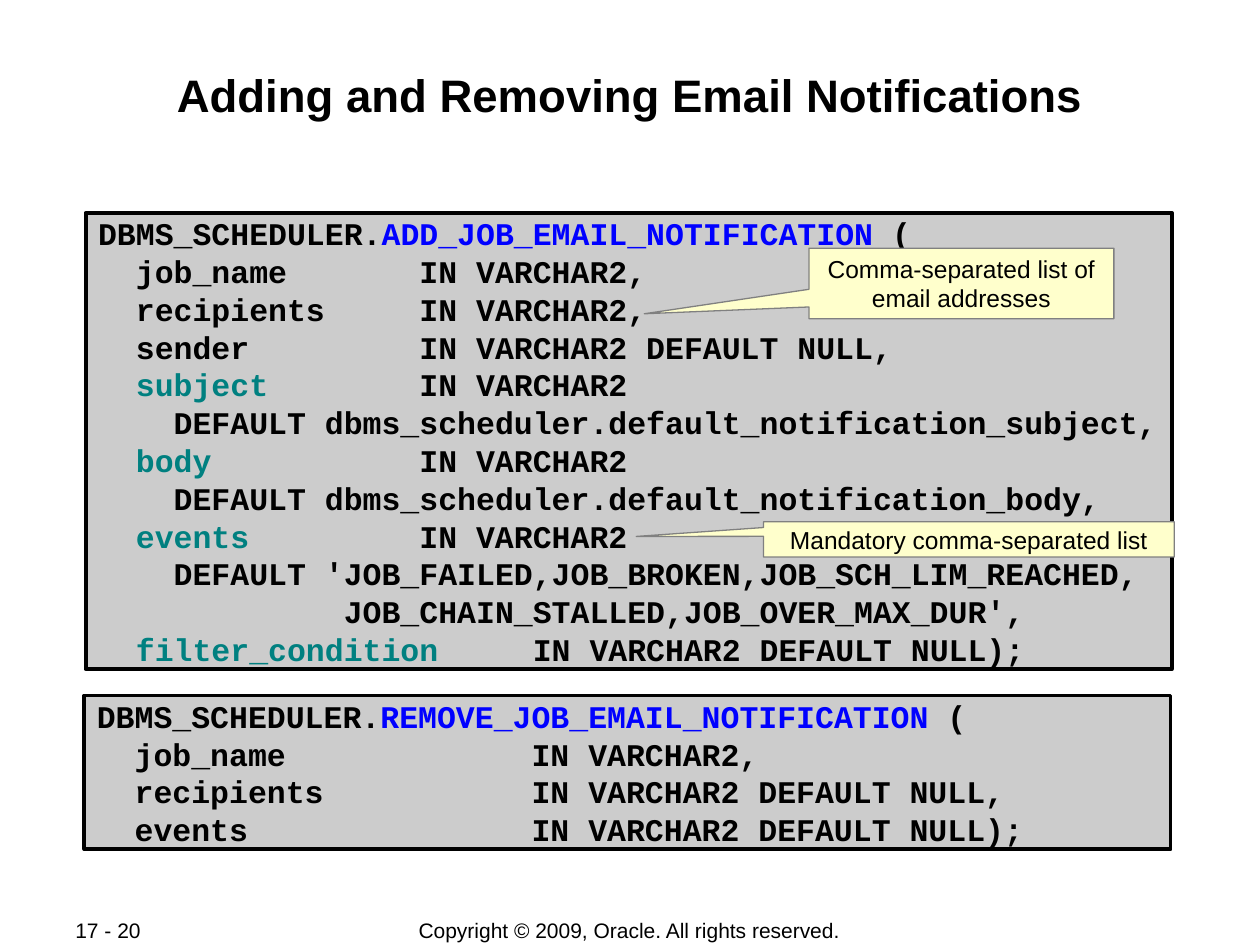
from pptx import Presentation
from pptx.dml.color import RGBColor
from pptx.enum.shapes import MSO_SHAPE
from pptx.enum.text import MSO_ANCHOR, PP_ALIGN
from pptx.util import Inches, Pt

COLORS = {
    "text": "000000",
    "paper": "FFFFFF",
    "code_fill": "CCCCCC",
    "procedure": "0000FF",
    "parameter": "008080",
    "note_fill": "FFFFCC",
    "note_line": "808080",
}
TITLE_FONT = {"name": "Arial", "size": Pt(26), "bold": True}
CODE_FONT = {"name": "Courier New", "size": Pt(18), "bold": True}
NOTE_FONT = {"name": "Arial", "size": Pt(14), "bold": False}
FOOTER_FONT = {"name": "Arial", "size": Pt(12), "bold": False}

ADD_CODE = [
    "DBMS_SCHEDULER.|ADD_JOB_EMAIL_NOTIFICATION| (",
    "  job_name       IN VARCHAR2,",
    "  recipients     IN VARCHAR2,",
    "  sender         IN VARCHAR2 DEFAULT NULL,",
    "  |subject|        IN VARCHAR2",
    "    DEFAULT dbms_scheduler.default_notification_subject,",
    "  |body|           IN VARCHAR2",
    "    DEFAULT dbms_scheduler.default_notification_body,",
    "  |events |        IN VARCHAR2",
    "    DEFAULT 'JOB_FAILED,JOB_BROKEN,JOB_SCH_LIM_REACHED,",
    "             JOB_CHAIN_STALLED,JOB_OVER_MAX_DUR',",
    "  |filter_condition |    IN VARCHAR2 DEFAULT NULL);",
]
REMOVE_CODE = [
    "DBMS_SCHEDULER.|REMOVE_JOB_EMAIL_NOTIFICATION| (",
    "  job_name             IN VARCHAR2,",
    "  recipients           IN VARCHAR2 DEFAULT NULL,",
    "  events               IN VARCHAR2 DEFAULT NULL);",
]


def rgb(name):
    """Return the named colour."""
    return RGBColor.from_string(COLORS[name])


def set_attributes(target, values):
    """Set each attribute of the target from a dict."""
    for name, value in values.items():
        setattr(target, name, value)


def add_run(paragraph, text, font, color="text"):
    """Append one formatted run to a paragraph."""
    run = paragraph.add_run()
    run.text = text
    set_attributes(run.font, font)
    run.font.color.rgb = rgb(color)


def set_frame(frame, horizontal, vertical, **values):
    """Set the insets and other properties of a text frame."""
    set_attributes(frame, {
        "margin_left": Inches(horizontal), "margin_right": Inches(horizontal),
        "margin_top": Inches(vertical), "margin_bottom": Inches(vertical),
        **values,
    })


def add_panel(slide, kind, box, fill, line, width):
    """Add a filled, outlined shape without a shadow."""
    shape = slide.shapes.add_shape(kind, *map(Inches, box))
    shape.shadow.inherit = False
    shape.fill.solid()
    shape.fill.fore_color.rgb = rgb(fill)
    shape.line.color.rgb = rgb(line)
    shape.line.width = Pt(width)
    return shape


def place_title(slide, box, text):
    """Move, fill and format the title placeholder."""
    title = slide.shapes.title
    sides = ("left", "top", "width", "height")
    set_attributes(title, dict(zip(sides, map(Inches, box))))
    set_frame(title.text_frame, 0.01, 0.05, vertical_anchor=MSO_ANCHOR.TOP)
    paragraph = title.text_frame.paragraphs[0]
    paragraph.alignment = PP_ALIGN.CENTER
    add_run(paragraph, text, TITLE_FONT)


def place_code(slide, box, lines):
    """Add a code panel whose barred segments are highlighted."""
    shape = add_panel(slide, MSO_SHAPE.RECTANGLE, box, "code_fill", "text", 2.25)
    frame = shape.text_frame
    set_frame(frame, 0.1, 0.01, word_wrap=True, vertical_anchor=MSO_ANCHOR.MIDDLE)
    for row, line in enumerate(lines):
        paragraph = frame.add_paragraph() if row else frame.paragraphs[0]
        paragraph.alignment = PP_ALIGN.LEFT
        paragraph.line_spacing = Pt(21.6)
        accent = "parameter" if row else "procedure"
        for index, segment in enumerate(line.split("|")):
            add_run(paragraph, segment, CODE_FONT, accent if index % 2 else "text")


def place_callout(slide, box, tip, text):
    """Add a note whose tip offset is relative to its size."""
    shape = add_panel(slide, MSO_SHAPE.RECTANGULAR_CALLOUT, box,
                      "note_fill", "note_line", 0.75)
    for index, value in enumerate(tip):
        shape.adjustments[index] = value
    frame = shape.text_frame
    set_frame(frame, 0.1, 0.05, word_wrap=True, vertical_anchor=MSO_ANCHOR.MIDDLE)
    frame.paragraphs[0].alignment = PP_ALIGN.CENTER
    add_run(frame.paragraphs[0], text, NOTE_FONT)


def place_footer(slide, box, text, alignment):
    """Add one footer text."""
    frame = slide.shapes.add_textbox(*map(Inches, box)).text_frame
    set_frame(frame, 0.1, 0.05, word_wrap=True, vertical_anchor=MSO_ANCHOR.MIDDLE)
    frame.paragraphs[0].alignment = alignment
    add_run(frame.paragraphs[0], text, FOOTER_FONT)


def main():
    """Build and save the slide."""
    presentation = Presentation()
    presentation.slide_width = Inches(10)
    presentation.slide_height = Inches(7.5)
    slide = presentation.slides.add_slide(presentation.slide_layouts[5])
    slide.background.fill.solid()
    slide.background.fill.fore_color.rgb = rgb("paper")

    place_footer(slide, (2.75, 7.28, 4.49, 0.21),
                 "Copyright © 2009, Oracle. All rights reserved.", PP_ALIGN.CENTER)
    place_footer(slide, (0.5, 7.28, 1.06, 0.2), "17 - 20", PP_ALIGN.LEFT)
    place_title(slide, (0.67, 0.48, 8.66, 0.96),
                "Adding and Removing Email Notifications")
    place_code(slide, (0.68, 1.69, 8.62, 3.62), ADD_CODE)
    place_code(slide, (0.67, 5.52, 8.62, 1.22), REMOVE_CODE)
    place_callout(slide, (6.42, 1.97, 2.42, 0.56), (-1.04, 0.43),
                  "Comma-separated list of email addresses")
    place_callout(slide, (6.06, 4.14, 3.26, 0.28), (-0.81, -0.08),
                  "Mandatory comma-separated list")
    presentation.save("out.pptx")


if __name__ == "__main__":
    main()
